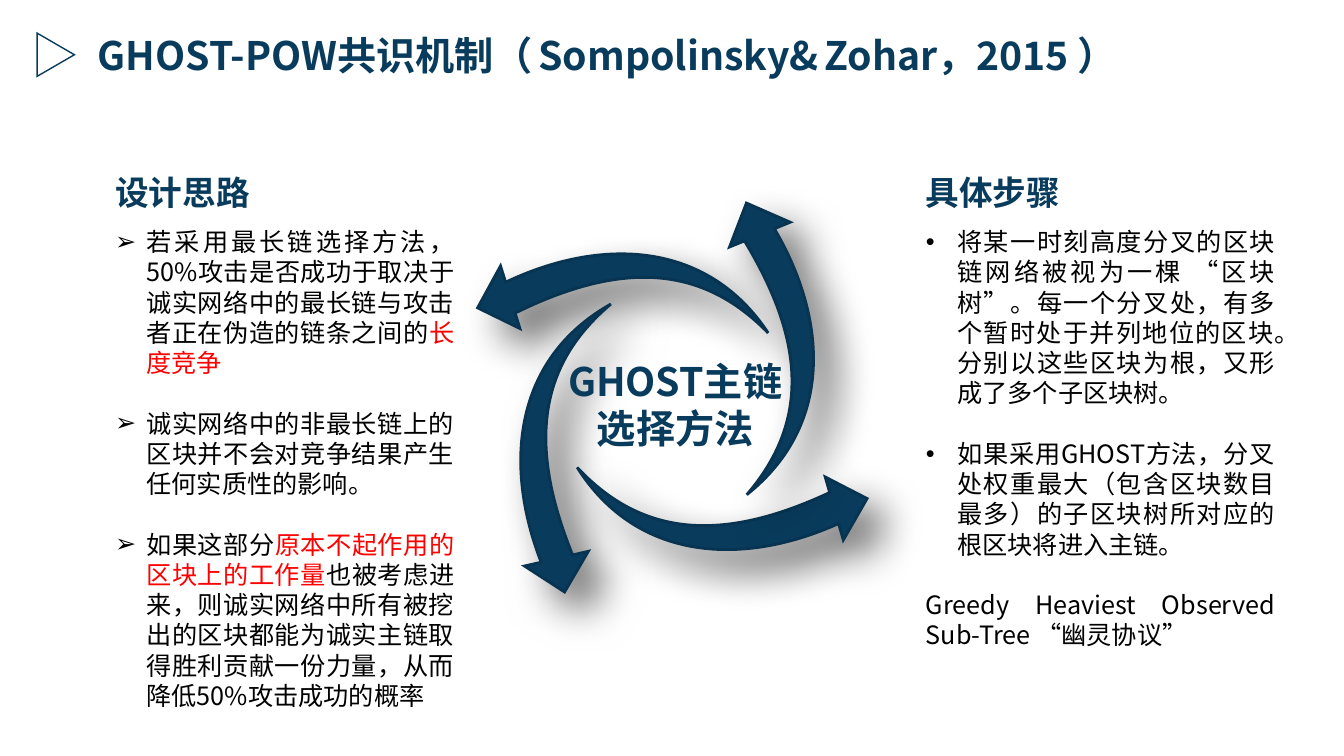
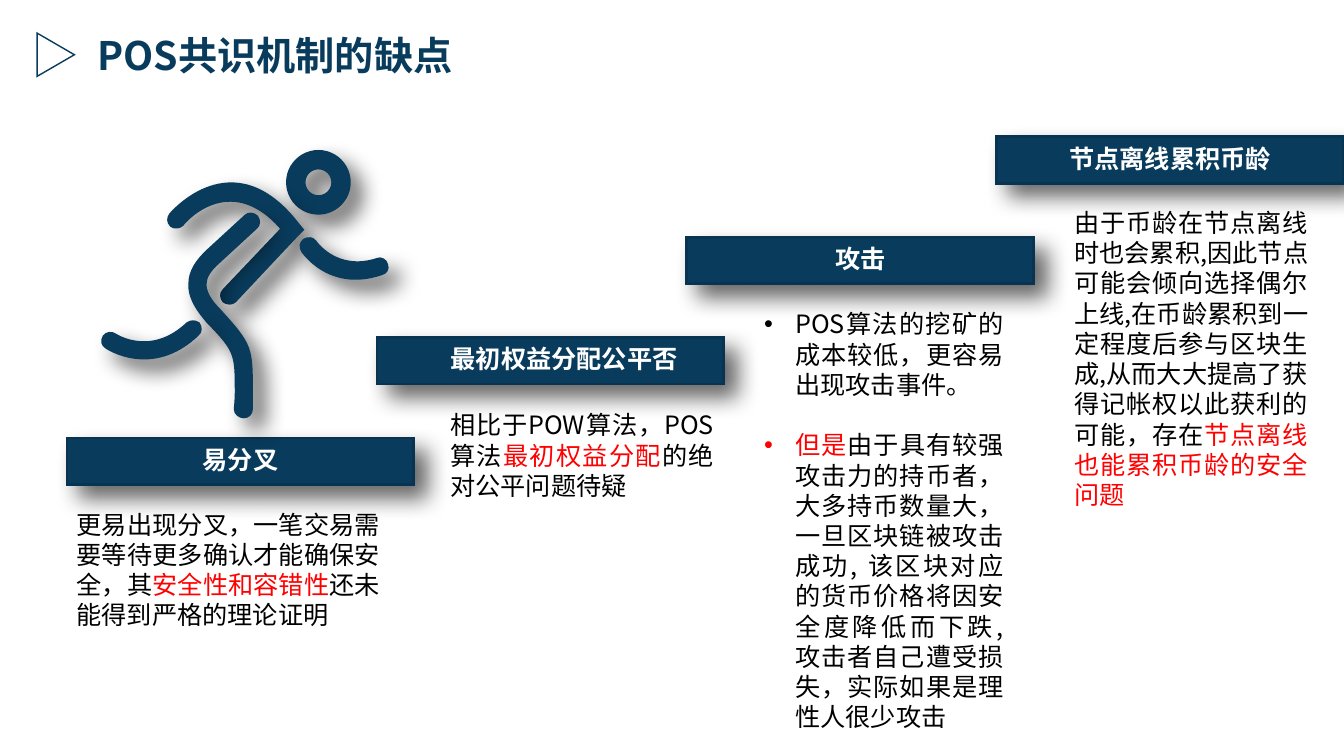
from dataclasses import dataclass
from itertools import repeat

from lxml import etree
from pptx import Presentation
from pptx import util as u
from pptx.dml.color import RGBColor
from pptx.enum import shapes, text
from pptx.oxml.ns import qn


@dataclass(frozen=True)
class Theme:
    navy: str = "093B5C"
    edge: str = "083451"
    black: str = "000000"
    white: str = "FFFFFF"
    red: str = "FF0000"
    face: str = "Noto Sans CJK SC"
    thin: str = "Calibri"
    title: int = 28
    head: int = 24
    body: int = 18
    lead: float = 1.2


T = Theme()
ALIGN = text.PP_ALIGN
ANCHOR = text.MSO_ANCHOR
SHAPE = shapes.MSO_SHAPE
UNIT = u.Cm(0.0254)
DEEP = (30, 20)
SOFT = (16, 12)


def red(words):
    return words, {"ink": T.red}


def style(run, size, ink, bold, face):
    font = run.font
    font.size, font.bold, font.name = u.Pt(size), bold, face
    font.color.rgb = RGBColor.from_string(ink)
    etree.SubElement(run._r.get_or_add_rPr(), qn("a:ea")).set("typeface", face)


def mark(para, sign):
    props = para._p.get_or_add_pPr()
    hang = u.Cm(0.79) if sign else 0
    props.set("marL", str(hang))
    props.set("indent", str(-hang))
    if sign:
        etree.SubElement(props, qn("a:buFont")).set("typeface", "Arial")
        etree.SubElement(props, qn("a:buChar")).set("char", sign)
    else:
        etree.SubElement(props, qn("a:buNone"))


def write(frame, paras, size=T.body, ink=T.black, bold=False, face=T.face,
          align=ALIGN.JUSTIFY, anchor=ANCHOR.TOP, signs=None):
    frame.word_wrap = True
    frame.auto_size = text.MSO_AUTO_SIZE.NONE
    frame.vertical_anchor = anchor
    base = {"size": size, "ink": ink, "bold": bold, "face": face}
    line = u.Pt(size * T.lead)
    for i, (runs, sign) in enumerate(zip(paras, signs or repeat(""))):
        para = frame.add_paragraph() if i else frame.paragraphs[0]
        mark(para, sign)
        para.alignment = align
        para.line_spacing = line
        para.space_before = line if i else u.Pt(0)
        para.space_after = u.Pt(0)
        for item in runs:
            words, extra = (item, {}) if isinstance(item, str) else item
            run = para.add_run()
            run.text = words
            style(run, **{**base, **extra})


def bend(shape, parts):
    nodes = shape._element.spPr.findall(".//" + qn("a:lnTo"))
    for part in parts:
        size = len(part) // 2
        group, nodes = nodes[:size], nodes[size:]
        if size == 3:
            group[0].tag = qn("a:cubicBezTo")
            for node in group[1:]:
                group[0].append(node[0])
                node.getparent().remove(node)


class Deck:
    def __init__(self):
        self.file = Presentation()
        self.file.slide_width = u.Cm(33.87)
        self.file.slide_height = u.Cm(19.05)
        self.slide = None

    def page(self, layout, runs):
        self.slide = self.file.slides.add_slide(self.file.slide_layouts[layout])
        self.fill(0, (2.21, 0.66, 31.65, 1.45), [runs], size=T.title,
                  ink=T.navy, bold=True, align=ALIGN.LEFT)
        self.shape(SHAPE.ISOSCELES_TRIANGLE, (0.86, 0.91, 1.09, 0.94),
                   ink=None, edge=T.navy, width=1).rotation = 90

    def fill(self, slot, box, paras, **form):
        holder = self.slide.placeholders[slot]
        holder.left, holder.top, holder.width, holder.height = map(u.Cm, box)
        write(holder.text_frame, paras, **form)

    def head(self, slot, box, words):
        self.fill(slot, box, [[words]], size=T.head, ink=T.navy, bold=True,
                  align=ALIGN.LEFT)

    def note(self, box, paras, **form):
        frame = self.slide.shapes.add_textbox(*map(u.Cm, box)).text_frame
        write(frame, paras, **form)

    def paint(self, shape, ink=T.navy, edge=None, width=2, shade=None):
        if ink:
            shape.fill.solid()
            shape.fill.fore_color.rgb = RGBColor.from_string(ink)
        else:
            shape.fill.background()
        if edge:
            shape.line.color.rgb = RGBColor.from_string(edge)
            shape.line.width = u.Pt(width)
            stroke = shape._element.spPr.find(qn("a:ln"))
            etree.SubElement(stroke, qn("a:miter"), lim="800000")
        else:
            shape.line.fill.background()
        shape.shadow.inherit = False
        if shade:
            blur, dist = shade
            effects = shape._element.spPr.find(qn("a:effectLst"))
            cast = etree.SubElement(
                effects, qn("a:outerShdw"), blurRad=str(u.Pt(blur)),
                dist=str(u.Pt(dist)), dir=str(45 * 60000), algn="tl",
                rotWithShape="0")
            tint = etree.SubElement(cast, qn("a:srgbClr"), val=T.black)
            etree.SubElement(tint, qn("a:alpha"), val="60000")
        return shape

    def shape(self, kind, box, **look):
        item = self.slide.shapes.add_shape(kind, *map(u.Cm, box))
        return self.paint(item, **look)

    def form(self, start, *parts, **look):
        spots = [part[i:i + 2] for part in parts
                 for i in range(0, len(part), 2)]
        pen = self.slide.shapes.build_freeform(*start, scale=UNIT)
        pen.add_line_segments(spots, close=True)
        item = pen.convert_to_shape()
        bend(item, parts)
        return self.paint(item, **look)

    def arrow(self, x, y, angle):
        item = self.form(*ARROW, edge=T.edge, shade=DEEP)
        item.left, item.top = u.Cm(x), u.Cm(y)
        item.rotation = angle

    def bar(self, box, words, inset):
        item = self.shape(SHAPE.RECTANGLE, box, edge=T.edge, shade=SOFT)
        item.text_frame.margin_left = u.Cm(inset)
        item.text_frame.margin_bottom = u.Cm(0.23)
        write(item.text_frame, [[words]], ink=T.white, bold=True,
              align=ALIGN.CENTER, anchor=ANCHOR.MIDDLE)


ARROW = [(0, 234), (17, 234), (2, 131, 36, 31, 142, 0),
         (60, 42, 30, 115, 49, 234), (65, 234), (33, 268)]
WHEEL = [(13.77, 4.27, 72.8), (12.6, 7.98, 347),
         (16.51, 9.17, 254), (17.4, 5.23, 157.8)]

RUNNER = [
    [(182, 224), (179, 227, 173, 228, 169, 225),
     (165, 221, 165, 216, 168, 212), (168, 212, 231, 136, 297, 222),
     (302, 228), (296, 234), (234, 300), (231, 303, 225, 303, 221, 300),
     (218, 296, 217, 291, 221, 287), (278, 227),
     (227, 169, 182, 223, 182, 224)],
    [(243, 213), (246, 210, 252, 210, 256, 214),
     (259, 218, 259, 224, 255, 227), (218, 261),
     (210, 268, 205, 275, 205, 282), (205, 289, 209, 297, 219, 307),
     (251, 342, 251, 345, 251, 390), (251, 393, 251, 396, 251, 406),
     (251, 411, 247, 415, 242, 415), (237, 415, 232, 411, 232, 406),
     (232, 405, 233, 397, 233, 390), (233, 351, 233, 349, 205, 320),
     (192, 305, 186, 293, 187, 281), (187, 269, 194, 258, 206, 247)],
    [(105, 346), (100, 343, 99, 338, 102, 333),
     (105, 329, 111, 328, 115, 331), (115, 331, 149, 354, 185, 320),
     (189, 317, 194, 317, 198, 320), (201, 324, 201, 330, 197, 333),
     (151, 377, 105, 346, 105, 346)],
    [(299, 250), (296, 245, 297, 240, 301, 237),
     (306, 234, 311, 235, 314, 239), (314, 239, 334, 269, 374, 256),
     (378, 254, 384, 257, 385, 262), (387, 267, 384, 272, 379, 273),
     (326, 291, 299, 250, 299, 250)],
]


def ghost(deck):
    gap = (" ", {"size": T.body, "face": T.thin, "bold": False})
    deck.page(4, ["GHOST-POW共识机制（", gap, "Sompolinsky&", gap,
                  "Zohar，2015 ）"])
    for place in WHEEL:
        deck.arrow(*place)
    deck.head(1, (2.65, 4.2, 8.48, 1.27), "设计思路")
    deck.fill(2, (2.65, 5.58, 9.06, 12.57), [
        ["若采用最长链选择方法，50%攻击是否成功于取决于诚实网络中的最长链与攻击者正在伪造的链条之间的",
         red("长度竞争")],
        ["诚实网络中的非最长链上的区块并不会对竞争结果产生任何实质性的影响。"],
        ["如果这部分", red("原本不起作用的区块上的工作量"),
         "也被考虑进来，则诚实网络中所有被挖出的区块都能为诚实主链取得胜利贡献一份力量，从而降低50%攻击成功的概率"],
    ], signs="➢➢➢")
    deck.head(3, (23.07, 4.2, 10.19, 1.27), "具体步骤")
    deck.fill(4, (23.08, 5.58, 9.31, 11.02), [
        ["将某一时刻高度分叉的区块链网络被视为一棵 “区块树”。每一个分叉处，有多个暂时处于并列地位的区块。分别以这些区块为根，又形成了多个子区块树。"],
        ["如果采用GHOST方法，分叉处权重最大（包含区块数目最多）的子区块树所对应的根区块将进入主链。"],
        ["Greedy Heaviest Observed Sub-Tree “幽灵协议”"],
    ], signs=["•", "•", ""])
    deck.note((13.93, 8.89, 6.17, 2.64), [["GHOST主链选择方法"]],
              size=T.title, ink=T.navy, bold=True, align=ALIGN.CENTER)


def flaws(deck):
    deck.page(1, ["POS共识机制的缺点"])
    steps = [("易分叉", 0.25), ("最初权益分配公平否", 0.94),
             ("攻击", 0.25), ("节点离线累积币龄", 0.25)]
    for i, (words, inset) in enumerate(steps):
        deck.bar((1.69 + 7.81 * i, 11.04 - 2.53 * i, 8.74, 1.17), words, inset)
    deck.shape(SHAPE.DONUT, (7.21, 3.78, 1.63, 1.63),
               shade=SOFT).adjustments[0] = 0.3
    for limb in RUNNER:
        deck.form(*limb, shade=SOFT)
    deck.note((1.68, 12.7, 8.15, 3.33), [[
        "更易出现分叉，一笔交易需要等待更多确认才能确保安全，其",
        red("安全性和容错性"), "还未能得到严格的理论证明"]])
    deck.note((11.1, 10.2, 7.14, 3.18), [[
        "相比于POW算法，POS算法", red("最初权益分配"), "的绝对公平问题待疑"]])
    deck.fill(1, (19, 7.65, 6.55, 11.02), [
        ["POS算法的挖矿的成本较低，更容易出现攻击事件。"],
        [red("但是"),
         "由于具有较强攻击力的持币者，大多持币数量大，一旦区块链被攻击成功, 该区块对应的货币价格将因安全度降低而下跌, 攻击者自己遭受损失，实际如果是理性人很少攻击"],
    ], signs="••")
    deck.note((26.82, 5.1, 6.4, 7.95), [[
        "由于币龄在节点离线时也会累积,因此节点可能会倾向选择偶尔上线,在币龄累积到一定程度后参与区块生成,从而大大提高了获得记帐权以此获利的可能，存在",
        red("节点离线也能累积币龄的安全问题")]])


def main():
    deck = Deck()
    ghost(deck)
    flaws(deck)
    deck.file.save("out.pptx")


if __name__ == "__main__":
    main()
